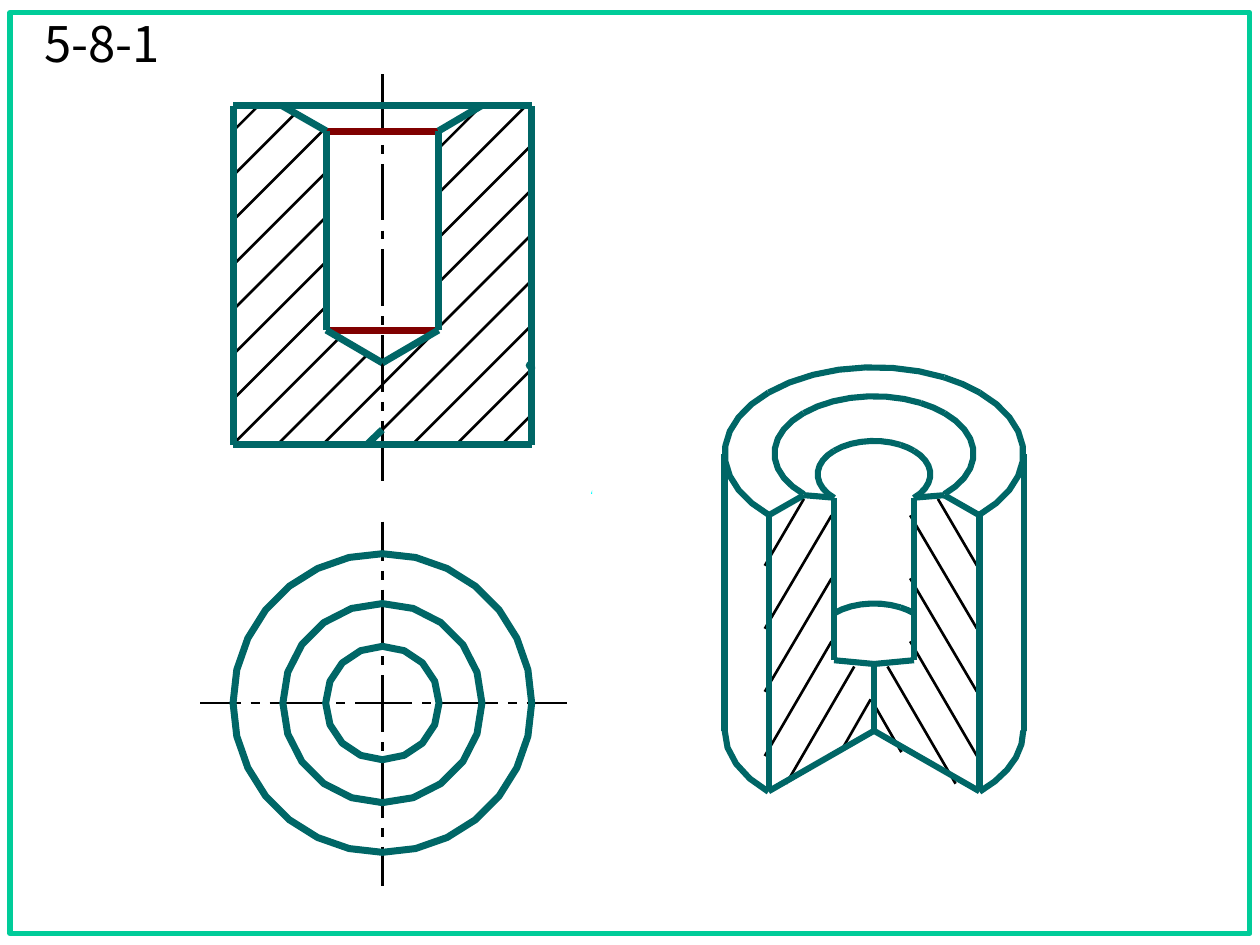
from math import cos, radians, sin

from lxml import etree
from pptx import Presentation
from pptx.dml.color import RGBColor
from pptx.enum.shapes import MSO_CONNECTOR, MSO_SHAPE
from pptx.enum.text import MSO_ANCHOR, PP_ALIGN
from pptx.oxml.ns import qn
from pptx.util import Inches, Pt

STRAIGHT = MSO_CONNECTOR.STRAIGHT
RECTANGLE = MSO_SHAPE.RECTANGLE
MIDDLE = MSO_ANCHOR.MIDDLE
CENTER = PP_ALIGN.CENTER

BLACK, GREEN, TEAL, RED, CYAN = "000000", "00CC99", "006666", "800000", "00FFFF"
THIN, MEDIUM, THICK = 1.5, 3.5, 4

LEFT, RIGHT, TOP, BOTTOM = 1.85, 4.22, 0.84, 3.53
AXIS_X, PLAN_Y = 3.035, 5.58
BORE_LEFT, BORE_RIGHT, BORE_TOP, BORE_BOTTOM = 2.59, 3.48, 1.04, 2.62
CONE_TIP = (AXIS_X, 2.88)
SINK_LEFT, SINK_RIGHT = 2.24, 3.82

HATCH_PITCH = 0.355
HATCH_FROM_LEFT = [0.2, 0.5, 0.72, 0.74, 0.74, 0.74, 0.74, 0.84]
HATCH_FROM_BORE = [0.34, 0.7, 0.74, 0.74, 0.74]
HATCH_FROM_BOTTOM = [(2.2, 0.72), (2.56, 0.47), (3.27, 0.95), (3.62, 0.6), (3.98, 0.24)]
HATCH_FROM_AXIS = [(3.05, 0.41), (3.41, 1.19)]

SECTION_LINES = [
    ((BORE_RIGHT, BORE_TOP), (SINK_RIGHT, TOP)),
    ((BORE_LEFT, BORE_TOP), (SINK_LEFT, TOP)),
    ((BORE_RIGHT, BORE_BOTTOM), (BORE_RIGHT, BORE_TOP)),
    ((BORE_LEFT, BORE_BOTTOM), (BORE_LEFT, BORE_TOP)),
    (CONE_TIP, (BORE_RIGHT, BORE_BOTTOM)),
    (CONE_TIP, (BORE_LEFT, BORE_BOTTOM)),
    ((LEFT, BOTTOM), (RIGHT, BOTTOM)),
    ((LEFT, TOP), (RIGHT, TOP)),
    ((RIGHT, BOTTOM), (RIGHT, TOP)),
    ((LEFT, BOTTOM), (LEFT, TOP)),
    ((2.91, BOTTOM), (AXIS_X, 3.41)),
]
PLAN_CIRCLES = [(0.45, 16), (0.79, 20), (1.185, 28)]

CUT_X, HATCH_AXIS = 6.937, 6.912
CUTAWAY_HATCH = [
    ((6.07, 4.49), (6.38, 3.96)),
    ((6.07, 4.99), (6.6, 4.09)),
    ((6.07, 5.49), (6.6, 4.59)),
    ((6.07, 6), (6.6, 5.09)),
    ((6.24, 6.22), (6.78, 5.29)),
    ((6.67, 5.97), (6.91, 5.55)),
]
CUTAWAY_LINES = [
    ((6.1, 6.28), (CUT_X, 5.8)),
    ((6.1, 4.09), (6.1, 6.28)),
    ((6.38, 3.93), (6.1, 4.09)),
    ((6.62, 3.95), (6.38, 3.93)),
    ((6.62, 5.24), (6.62, 3.95)),
    ((CUT_X, 5.27), (6.62, 5.24)),
    ((5.75, 5.8), (5.75, 3.6)),
]
OUTER, SINK, BORE = (1.185, 0.685), (0.79, 0.455), (0.447, 0.265)
BACK = [(45, 62, 2), (62, 135, 7)]
SIDES = [(135, 225, 9), (-45, 45, 9)]
CUTAWAY_ARCS = [
    (3.6, OUTER, BACK + SIDES),
    (3.6, SINK, BACK + SIDES),
    (3.765, BORE, BACK + SIDES),
    (5.055, BORE, BACK),
    (5.8, OUTER, [(180, 225, 4), (315, 360, 5)]),
]

DASH, DOT, GAP = 0.45, 0.07, 0.08
CENTER_LINES = [
    ((AXIS_X, 0.59), (0, 1), 0.48),
    ((AXIS_X, 4.14), (0, 1), 0.31),
    ((1.59, PLAN_Y), (1, 0), 0.32),
]

presentation = Presentation()
presentation.slide_width, presentation.slide_height = Inches(10), Inches(7.5)
slide = presentation.slides.add_slide(presentation.slide_layouts[6])


def color(value):
    return RGBColor.from_string(value)


def add_group():
    return slide.shapes.add_group_shape().shapes


def add_line(shapes, start, end, line, width):
    connector = shapes.add_connector(STRAIGHT, *map(Inches, (*start, *end)))
    connector.line.color.rgb = color(line)
    connector.line.width = Pt(width)
    etree.SubElement(connector._element.spPr, qn("a:effectLst"))


def style(shape, line=None, width=None, fill=None):
    shape.shadow.inherit = False
    if fill:
        shape.fill.solid()
        shape.fill.fore_color.rgb = color(fill)
    else:
        shape.fill.background()
    if line:
        shape.line.color.rgb = color(line)
        shape.line.width = Pt(width)
    else:
        shape.line.fill.background()


def add_outline(shapes, points, close=False, **look):
    corners = [(Inches(x), Inches(y)) for x, y in points]
    builder = shapes.build_freeform(*corners[0])
    builder.add_line_segments(corners[1:], close=close)
    style(builder.convert_to_shape(), **look)


def add_text(text, box, size, font, fill):
    shape = slide.shapes.add_textbox(*map(Inches, box))
    frame = shape.text_frame
    frame.word_wrap = True
    frame.vertical_anchor = MIDDLE
    paragraph = frame.paragraphs[0]
    paragraph.text = text
    paragraph.alignment = CENTER
    paragraph.font.size = Pt(size)
    paragraph.font.name = font
    paragraph.font.color.rgb = color(fill)


def arc(center, radii, first, last, steps):
    angles = [radians(first + (last - first) * i / steps) for i in range(steps + 1)]
    return [(center[0] + radii[0] * cos(a), center[1] - radii[1] * sin(a)) for a in angles]


def mirrored(lines, axis):
    return [tuple((2 * axis - x, y) for x, y in line) for line in lines]


style(slide.shapes.add_shape(RECTANGLE, *map(Inches, (0.08, 0.1, 9.84, 7.31))), GREEN, 3)
add_text("5-8-1", (0.06, 0.13, 1.5, 0.42), size=28, font="Noto Sans CJK SC", fill=BLACK)
add_outline(slide.shapes, [(4.7, 3.89), (4.69, 3.92), (4.7, 3.92)], close=True, fill=CYAN)

section_hatch = [(LEFT, 1.04 + HATCH_PITCH * i, run) for i, run in enumerate(HATCH_FROM_LEFT)]
section_hatch += [(BORE_RIGHT, 1.18 + HATCH_PITCH * i, run) for i, run in enumerate(HATCH_FROM_BORE)]
section_hatch += [(x, BOTTOM, run) for x, run in HATCH_FROM_BOTTOM]
section_hatch += [(AXIS_X, y, run) for y, run in HATCH_FROM_AXIS]
hatch_group = add_group()
for x, y, run in section_hatch:
    add_line(hatch_group, (x, y), (x + run, y - run), BLACK, THIN)

cutaway = add_group()
for start, end in CUTAWAY_HATCH + mirrored(CUTAWAY_HATCH, HATCH_AXIS):
    add_line(cutaway, start, end, BLACK, THIN)
for center_y, radii, spans in CUTAWAY_ARCS:
    for span in spans:
        add_outline(cutaway, arc((CUT_X, center_y), radii, *span), line=TEAL, width=MEDIUM)
for start, end in CUTAWAY_LINES + mirrored(CUTAWAY_LINES, CUT_X):
    add_line(cutaway, start, end, TEAL, MEDIUM)
add_line(cutaway, (CUT_X, 5.8), (CUT_X, 5.27), TEAL, MEDIUM)

for (x, y), (dx, dy), tip in CENTER_LINES:
    center_line = add_group()
    for length in [tip] + [DOT, DASH] * 3 + [DOT, tip]:
        add_line(center_line, (x, y), (x + dx * length, y + dy * length), BLACK, THIN)
        x, y = x + dx * (length + GAP), y + dy * (length + GAP)

for y in (BORE_BOTTOM, BORE_TOP):
    add_line(slide.shapes, (BORE_LEFT, y), (BORE_RIGHT, y), RED, THICK)

section = add_group()
add_outline(section, [(4.22, 2.92), (4.21, 2.89), (4.2, 2.9)], close=True,
            fill=CYAN, line=TEAL, width=THICK)
for start, end in SECTION_LINES:
    add_line(section, start, end, TEAL, THICK)

plan = add_group()
for radius, sides in PLAN_CIRCLES:
    points = arc((AXIS_X, PLAN_Y), (radius, radius), 0, 360, sides)
    add_outline(plan, points[:-1], close=True, line=TEAL, width=THICK)

presentation.save("out.pptx")
